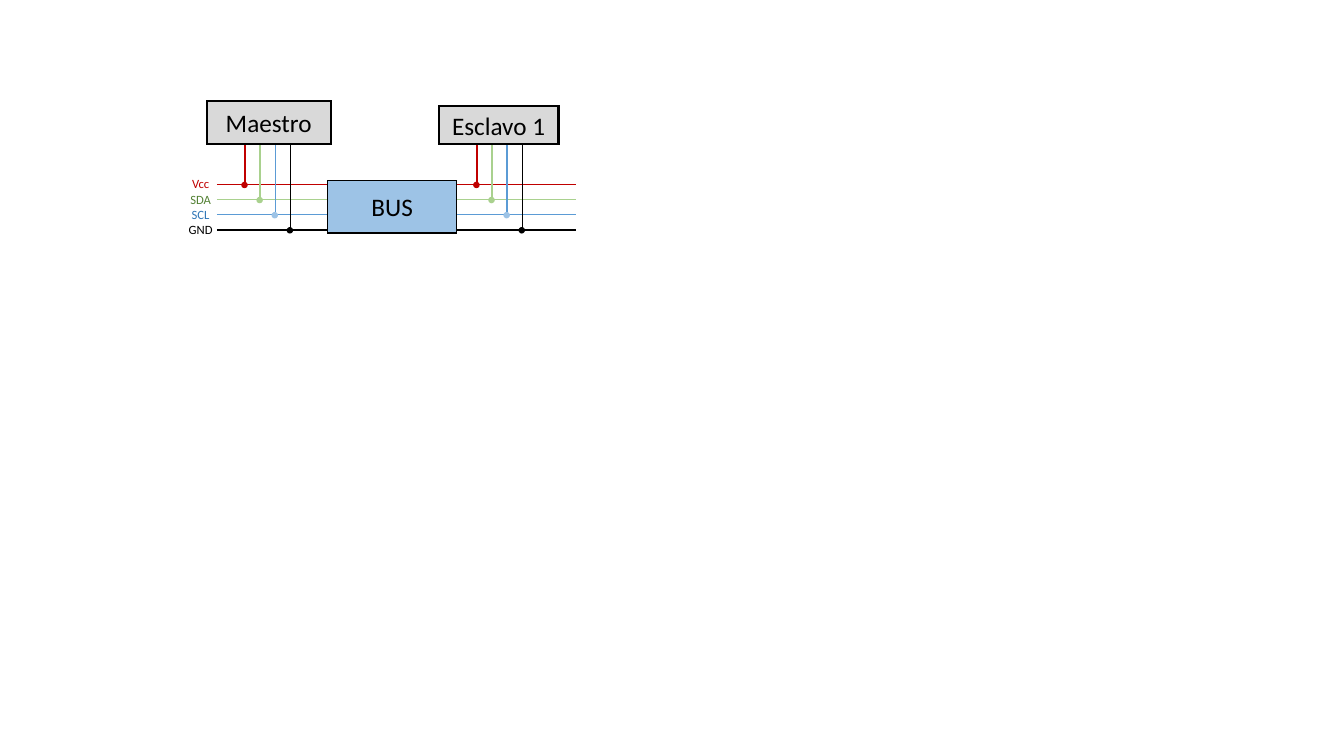
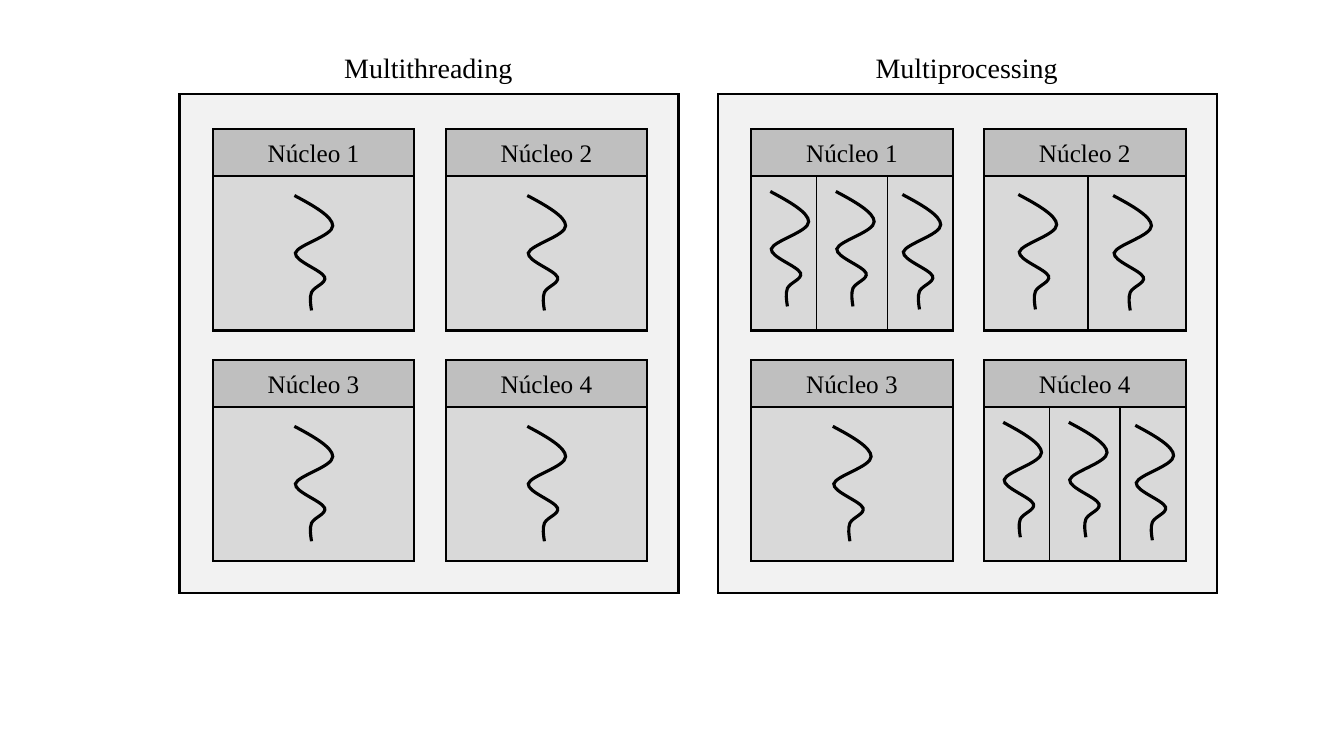
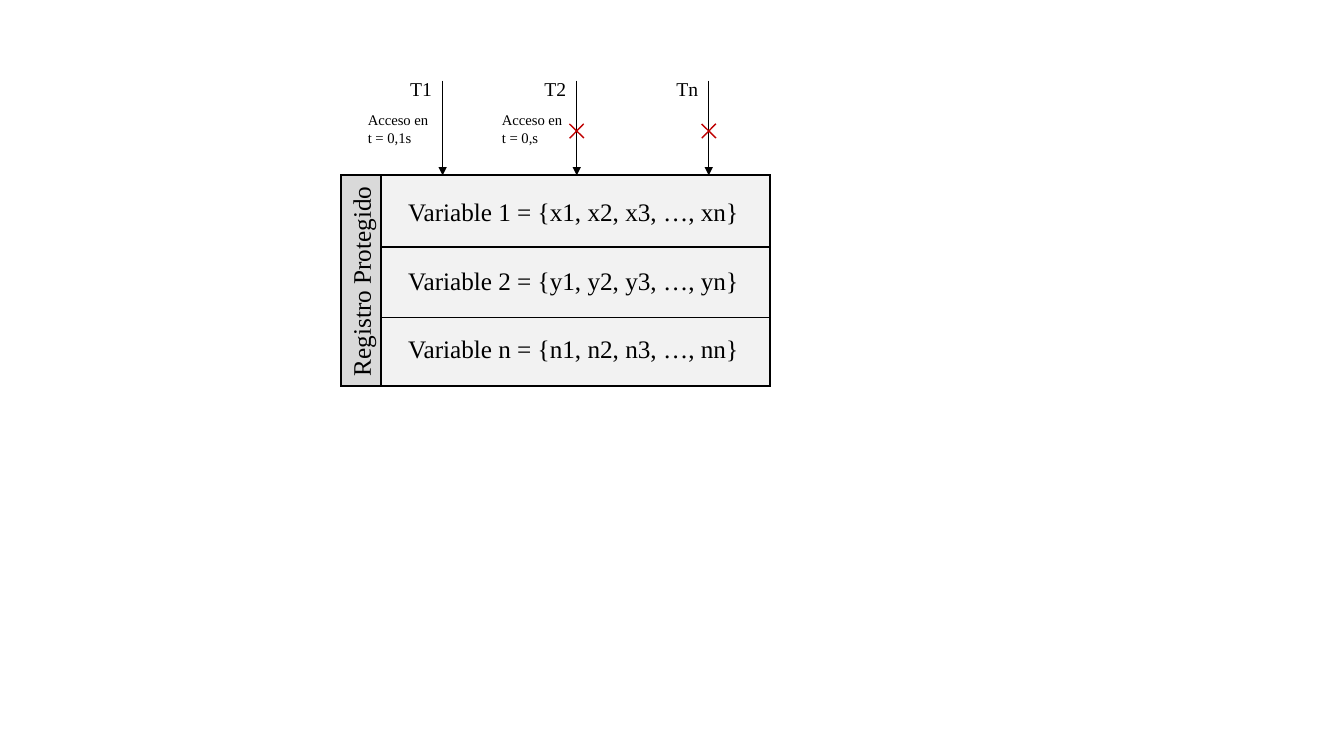
from lxml import etree
from pptx import Presentation
from pptx import util as u
from pptx.dml.color import RGBColor
from pptx.enum import shapes as sh, text as tx
from pptx.oxml import ns

BLACK, RED, GREEN, BLUE, SKY = "000000", "C00000", "A9D18E", "5B9BD5", "9DC3E6"
PALE, GREY, DARK = "F2F2F2", "D9D9D9", "BFBFBF"
SANS, SERIF = "Calibri", "Times New Roman"
RECT, OVAL, PLUS = (sh.MSO_SHAPE.RECTANGLE, sh.MSO_SHAPE.OVAL,
                    sh.MSO_SHAPE.CROSS)
LEFT, MID = tx.PP_ALIGN.LEFT, tx.PP_ALIGN.CENTER

# name, label colour, wire colour, dot colour
WIRES = [("Vcc", RED, RED, RED), ("SDA", "548235", GREEN, GREEN),
         ("SCL", "2E75B6", BLUE, SKY), ("GND", BLACK, BLACK, BLACK)]
STEP = 0.15

# Threads in a core: places of the curves, then of the dividers
THREADS = {1: ([(0.81, 0.66)], []),
           2: ([(0.34, 0.65), (1.28, 0.66)], [1.03]),
           3: ([(0.19, 0.62), (0.84, 0.62), (1.5, 0.65)], [0.65, 1.35])}
# Three points for each Bezier piece
CURVE = [(0.19, 0.1), (0.38, 0.21), (0.38, 0.3),
         (0.38, 0.4), (0.03, 0.49), (0.01, 0.57),
         (0, 0.65), (0.27, 0.74), (0.3, 0.81),
         (0.32, 0.87), (0.2, 0.9), (0.17, 0.96),
         (0.15, 1.01), (0.16, 1.08), (0.17, 1.14)]


def rgb(code):
    return RGBColor.from_string(code)


def inch(*vals):
    return [u.Inches(v) for v in vals]


def add(parent, tag, **attrs):
    return etree.SubElement(parent, ns.qn(tag), **attrs)


def pen(item, color, width):
    item.line.color.rgb = rgb(color)
    item.line.width = u.Pt(width)
    add(item.line._get_or_add_ln(), "a:miter", lim="800000")


def write(item, text, size=18, font=SERIF, color=BLACK, align=MID, wrap=True):
    frame = item.text_frame
    frame.word_wrap = wrap
    if not wrap:
        frame.auto_size = tx.MSO_AUTO_SIZE.SHAPE_TO_FIT_TEXT
    para = frame.paragraphs[0]
    para.text = text
    para.alignment = align
    for run in para.runs:
        run.font.size = u.Pt(size)
        run.font.name = font
        run.font.color.rgb = rgb(color)


def label(area, text, x, y, w, h, align=LEFT, **fmt):
    box = area.add_textbox(*inch(x, y, w, h))
    write(box, text, align=align, wrap=False, **fmt)


def block(area, x, y, w, h, fill, kind=RECT, line=BLACK, width=1.5):
    item = area.add_shape(kind, *inch(x, y, w, h))
    item.shadow.inherit = False
    item.fill.solid()
    item.fill.fore_color.rgb = rgb(fill)
    pen(item, line, width)
    return item


def rule(area, x1, y1, x2, y2, color=BLACK, arrow=False):
    item = area.add_connector(sh.MSO_CONNECTOR.STRAIGHT, *inch(x1, y1, x2, y2))
    pen(item, color, 1)
    if arrow:
        add(item.line._get_or_add_ln(), "a:tailEnd", type="triangle")
    add(item._element.spPr, "a:effectLst")


def group(slide):
    return slide.shapes.add_group_shape().shapes


# Bus slide
def node(area, name, x, y, w, h, start, end, bus):
    """A device box whose four drops meet the wires at height bus."""
    for i, (_, _, color, _) in enumerate(WIRES):
        rule(area, start, bus + i * STEP, end, bus + i * STEP, color)
    for i, (_, _, color, dot) in enumerate(WIRES):
        dx, dy = x + 0.38 + i * STEP, bus + i * STEP
        rule(area, dx, dy, dx, 1.1, color)
        block(area, dx - 0.03, dy - 0.02, 0.05, 0.05, dot, OVAL, dot, 1)
    write(block(area, x, y, w, h, GREY), name, font=SANS)


def bus_slide(slide):
    area, top = group(slide), 1.83
    node(area, "Maestro", 2.05, 1, 1.23, 0.43, 2.15, 3.35, top)
    node(area, "Esclavo 1", 4.35, 1.05, 1.19, 0.38, 4.5, 5.71, top)
    write(block(area, 3.25, 1.79, 1.28, 0.52, SKY, width=1), "BUS", font=SANS)
    for i, (name, color, _, _) in enumerate(WIRES):
        label(area, name, 1.77, top - 0.13 + i * STEP, 0.44, 0.25,
              size=9, font=SANS, color=color, align=MID)


# Cores slide
def thread(area, x, y):
    path = area.build_freeform(*inch(x, y))
    path.add_line_segments([inch(x + dx, y + dy) for dx, dy in CURVE],
                           close=False)
    item = path.convert_to_shape()
    item.shadow.inherit = False
    item.fill.background()
    pen(item, BLACK, 2.25)
    # Join each three points into one cubic piece
    steps = list(item._element.iter(ns.qn("a:lnTo")))
    outline = steps[0].getparent()
    for i in range(0, len(steps), 3):
        cubic = add(outline, "a:cubicBezTo")
        for step in steps[i:i + 3]:
            cubic.append(step[0])
            outline.remove(step)


def core(area, name, x, y, count, side=2, head=0.47):
    block(area, x, y, side, side, GREY)
    write(block(area, x, y, side, head, DARK), name)
    curves, cuts = THREADS[count]
    for dx, dy in curves:
        thread(area, x + dx, y + dy)
    for dx in cuts:
        rule(area, x + dx, y + head, x + dx, y + side)


def panel(slide, title, x, y, wide, counts, side=4.95):
    area = group(slide)
    block(area, x, y, side, side, PALE)
    label(area, title, x + (side - wide) / 2, y - 0.48, wide, 0.44, size=20)
    for i, count in enumerate(counts):
        row, col = divmod(i, 2)
        core(area, f"Núcleo {i + 1}", x + 0.33 + col * 2.31,
             y + 0.35 + row * 2.29, count)


def core_slide(slide):
    panel(slide, "Multithreading", 1.78, 0.93, 1.88, [1, 1, 1, 1])
    panel(slide, "Multiprocessing", 7.12, 0.93, 2.02, [3, 2, 1, 3])


# Register slide
def record(area, x, y, w, h, rows):
    block(area, x, y, w, h, PALE)
    for i, text in enumerate(rows):
        if i:
            rule(area, x, y + 0.01 + i * 0.7, x + w, y + 0.01 + i * 0.7)
        label(area, text, x + 0.17, y + 0.16 + i * 0.68, 3.51, 0.4)
    # Side tab, turned to read upwards
    tab = block(area, x - 0.2 - h / 2, y + h / 2 - 0.2, h, 0.4, GREY)
    tab.rotation = 270
    write(tab, "Registro Protegido", align=LEFT, wrap=False)
    tab.text_frame.vertical_anchor = tx.MSO_ANCHOR.TOP


def access(area, name, x, y, note, barred):
    """An arrow of one thread, with its note and a cross if it is barred."""
    rule(area, x, y, x, y + 0.94, arrow=True)
    label(area, name, x - 0.42, y - 0.09, 0.42, 0.34, size=14)
    if note:
        label(area, note, x - 0.84, y + 0.25, 0.84, 0.47, size=10.5)
    if barred:
        cross = block(area, x - 0.1, y + 0.4, 0.2, 0.2, BLUE, PLUS, RED, 1)
        cross.adjustments[0] = 0.5
        cross.rotation = 44.3


def lock_slide(slide):
    area = slide.shapes
    record(area, 3.78, 1.74, 3.86, 2.09,
           ["Variable 1 = {x1, x2, x3, …, xn}",
            "Variable 2 = {y1, y2, y3, …, yn}",
            "Variable n = {n1, n2, n3, …, nn}"])
    for name, x, note, barred in [("T1", 4.39, "Acceso en\vt = 0,1s", False),
                                  ("T2", 5.72, "Acceso en\vt = 0,s", True),
                                  ("Tn", 7.03, "", True)]:
        access(area, name, x, 0.8, note, barred)


def main():
    deck = Presentation()
    deck.slide_width, deck.slide_height = inch(13.33, 7.5)
    for build in (bus_slide, core_slide, lock_slide):
        build(deck.slides.add_slide(deck.slide_layouts[6]))
    deck.save("out.pptx")


if __name__ == "__main__":
    main()
